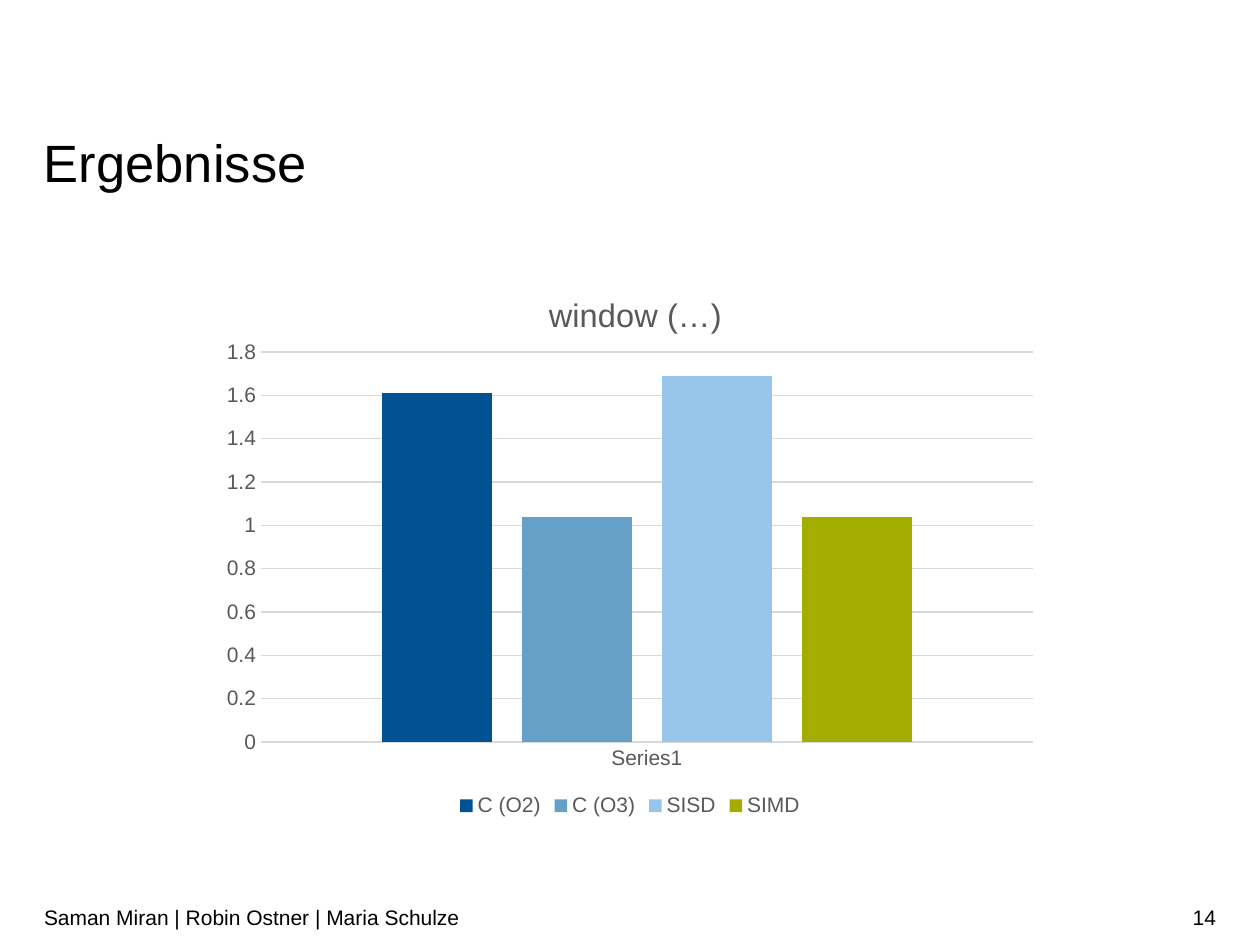
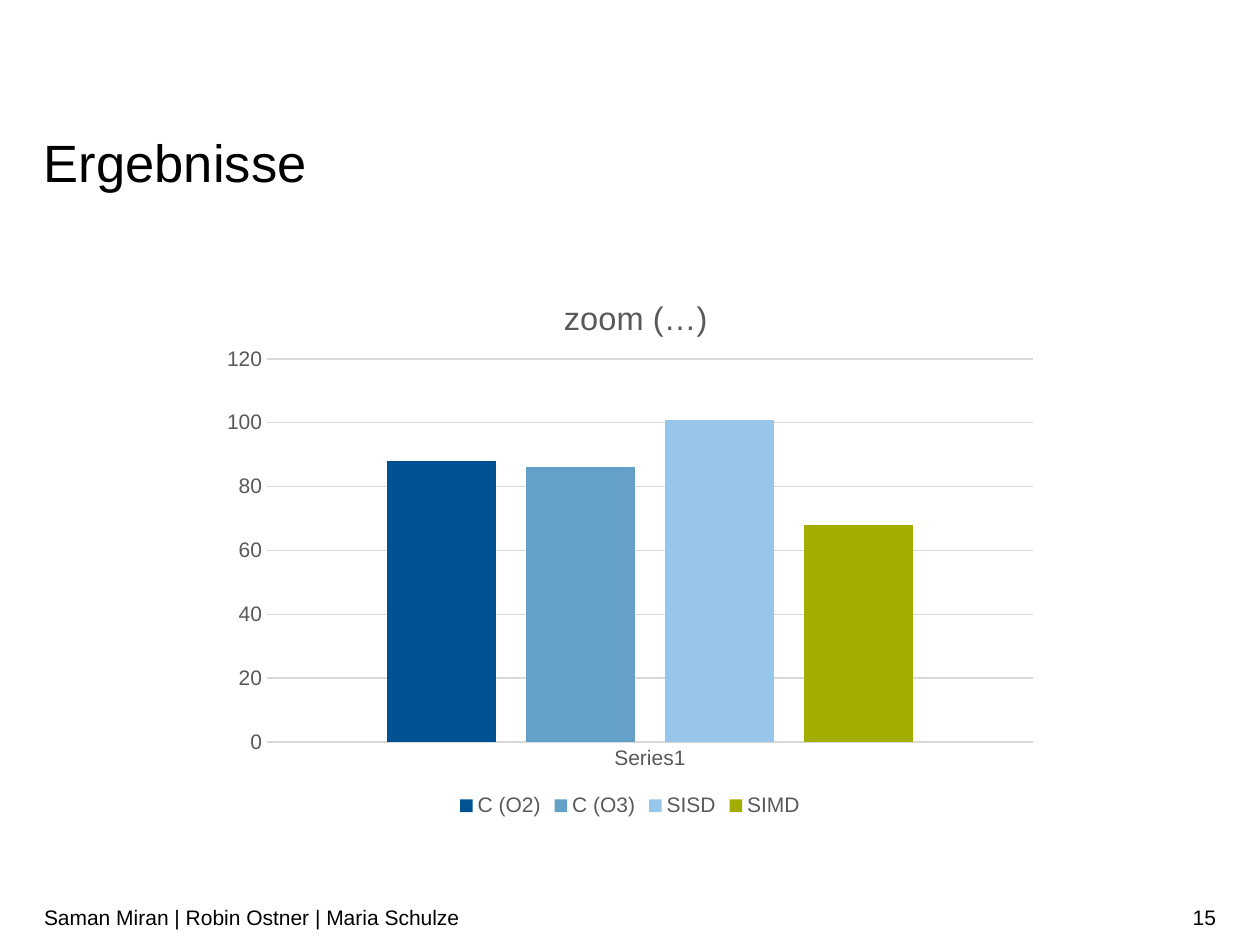
from lxml import etree
from pptx import Presentation
from pptx.chart.data import CategoryChartData
from pptx.dml.color import RGBColor
from pptx.enum.chart import XL_CHART_TYPE, XL_LEGEND_POSITION, XL_TICK_MARK
from pptx.enum.text import MSO_ANCHOR, PP_ALIGN
from pptx.oxml.ns import qn
from pptx.util import Pt

COLUMNS = XL_CHART_TYPE.COLUMN_CLUSTERED
BOTTOM = XL_LEGEND_POSITION.BOTTOM
NO_TICK = XL_TICK_MARK.NONE
TOP, MIDDLE = MSO_ANCHOR.TOP, MSO_ANCHOR.MIDDLE
LEFT, RIGHT = PP_ALIGN.LEFT, PP_ALIGN.RIGHT

PX = 914400 / 126
FONT = "Arial"
COLORS = {"text": "000000", "label": "595959", "grid": "D9D9D9",
          "C (O2)": "005293", "C (O3)": "64A0C8", "SISD": "98C6EA", "SIMD": "A2AD00"}
VARIANTS = ["C (O2)", "C (O3)", "SISD", "SIMD"]
CHART_BOX = (210, 263, 840, 559)
RESULTS = [
    {"number": 14, "title": "window (…)", "values": [1.61, 1.04, 1.69, 1.04],
     "title_at": (543, 287), "plot_box": (261, 352, 772, 390), "top": 1.8, "step": 0.2},
    {"number": 15, "title": "zoom (…)", "values": [88, 86, 101, 68],
     "title_at": (558, 290), "plot_box": (267, 359, 766, 383), "top": 120, "step": 20},
]


def add_text(slide, text, box, size=12, align=LEFT, anchor=MIDDLE, inset=6, spacing=None):
    shape = slide.shapes.add_textbox(*[round(value * PX) for value in box])
    frame = shape.text_frame
    frame.word_wrap = True
    frame.vertical_anchor = anchor
    frame.margin_left = frame.margin_right = 0
    frame.margin_top = frame.margin_bottom = round(inset * PX)
    paragraph = frame.paragraphs[0]
    paragraph.alignment = align
    if spacing:
        paragraph.line_spacing = Pt(spacing)
    run = paragraph.add_run()
    run.text = text
    run.font.name = FONT
    run.font.size = Pt(size)
    run.font.color.rgb = RGBColor.from_string(COLORS["text"])


def place_part(part, position, box):
    for layout in part.findall(qn("c:layout")):
        part.remove(layout)
    layout = etree.Element(qn("c:layout"))
    manual = etree.SubElement(layout, qn("c:manualLayout"))
    settings = [("xMode", "edge"), ("yMode", "edge")]
    if len(box) == 4:
        settings.insert(0, ("layoutTarget", "inner"))
    left, top, width, height = CHART_BOX
    shares = [(box[0] - left) / width, (box[1] - top) / height]
    shares += [length / full for length, full in zip(box[2:], (width, height))]
    settings += [(name, f"{share:.4f}") for name, share in zip("xywh", shares)]
    for name, value in settings:
        etree.SubElement(manual, qn(f"c:{name}")).set("val", value)
    part.insert(position, layout)


presentation = Presentation()
presentation.slide_width = round(1260 * PX)
presentation.slide_height = round(945 * PX)

for result in RESULTS:
    slide = presentation.slides.add_slide(presentation.slide_layouts[6])
    add_text(slide, str(result["number"]), (934, 892, 282, 50), align=RIGHT)
    add_text(slide, "Saman Miran | Robin Ostner | Maria Schulze", (44, 892, 891, 50))
    add_text(slide, "Ergebnisse", (44, 137, 1173, 57), size=30, anchor=TOP, inset=0, spacing=32)

    data = CategoryChartData()
    data.categories = ["Series1"]
    for variant, value in zip(VARIANTS, result["values"]):
        data.add_series(variant, [value])
    box = [round(value * PX) for value in CHART_BOX]
    chart = slide.shapes.add_chart(COLUMNS, *box, data).chart
    chart.font.name = FONT
    chart.font.size = Pt(10)

    chart.has_title = True
    title_frame = chart.chart_title.text_frame
    title_frame.text = result["title"]
    title_font = title_frame.paragraphs[0].runs[0].font
    title_font.bold = False
    chart.has_legend = True
    chart.legend.position = BOTTOM
    chart.legend.include_in_layout = False

    categories, values = chart.category_axis, chart.value_axis
    label_fonts = [categories.tick_labels.font, values.tick_labels.font, chart.legend.font]
    for font, size in [(title_font, 18.6)] + [(font, 12) for font in label_fonts]:
        font.name = FONT
        font.size = Pt(size)
        font.color.rgb = RGBColor.from_string(COLORS["label"])

    for axis in (categories, values):
        axis.major_tick_mark = axis.minor_tick_mark = NO_TICK
    values.minimum_scale = 0
    values.maximum_scale = result["top"]
    values.major_unit = result["step"]
    values.tick_labels.number_format = "General"
    values.tick_labels.number_format_is_linked = False
    values.format.line.fill.background()
    for line in (categories.format.line, values.major_gridlines.format.line):
        line.color.rgb = RGBColor.from_string(COLORS["grid"])
        line.width = Pt(0.75)

    plot = chart.plots[0]
    plot.gap_width = 219
    plot.overlap = -27
    plot.vary_by_categories = False
    for series in plot.series:
        series.format.fill.solid()
        series.format.fill.fore_color.rgb = RGBColor.from_string(COLORS[series.name])

    place_part(chart.element.find(".//" + qn("c:title")), 1, result["title_at"])
    place_part(chart.element.find(".//" + qn("c:plotArea")), 0, result["plot_box"])

presentation.save("out.pptx")
